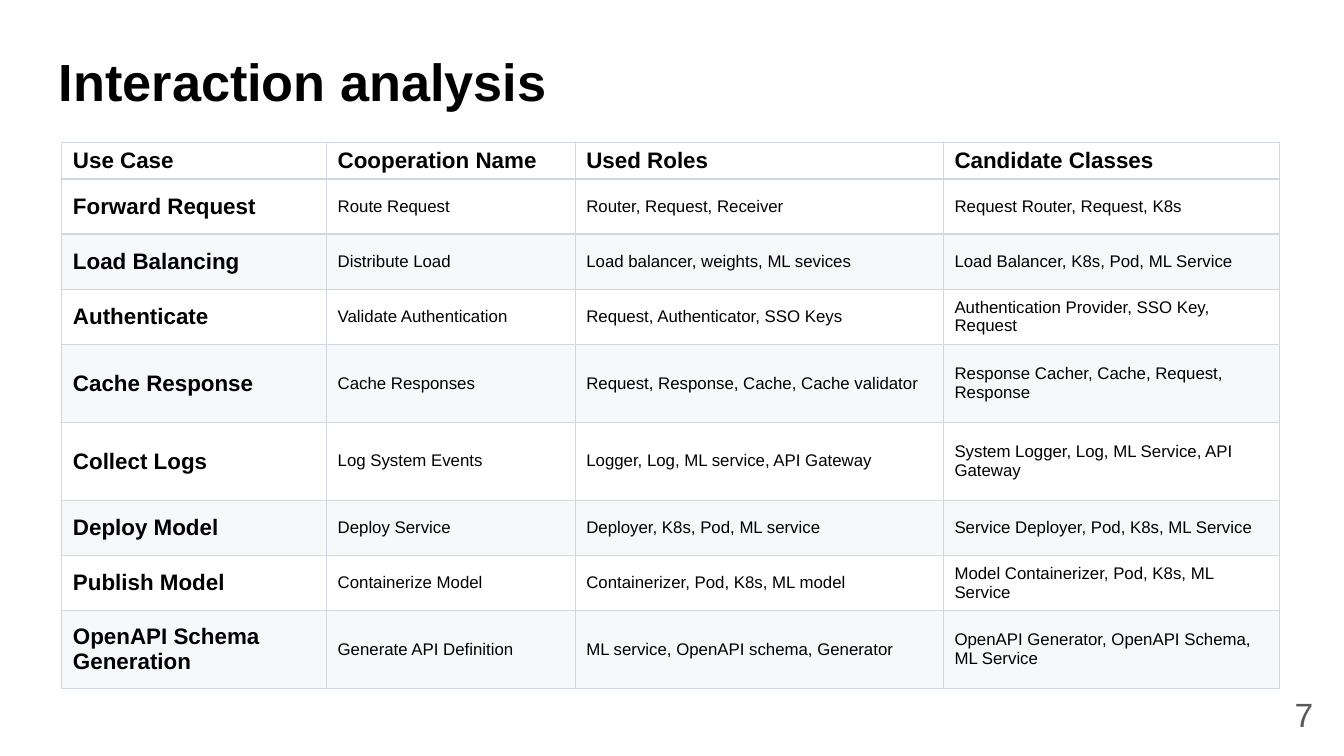
from lxml import etree
from pptx import Presentation
from pptx.dml.color import RGBColor
from pptx.enum.text import MSO_ANCHOR, PP_ALIGN
from pptx.oxml.ns import qn
from pptx.util import Inches, Pt

MIDDLE, TOP = MSO_ANCHOR.MIDDLE, MSO_ANCHOR.TOP
LEFT, RIGHT = PP_ALIGN.LEFT, PP_ALIGN.RIGHT
COLORS = {"text": "000000", "number": "595959", "border": "D0D7DE",
          "plain": "FFFFFF", "band": "F6F8FA"}


def write(tf, text, size=9, bold=False, color="text", align=LEFT):
    tf.word_wrap = True
    p = tf.paragraphs[0]
    p.alignment = align
    r = p.add_run()
    r.text = text
    r.font.name = "Arial"
    r.font.size = Pt(size)
    r.font.bold = bold
    r.font.color.rgb = RGBColor.from_string(COLORS[color])


def add_borders(cell):
    tcPr = cell._tc.get_or_add_tcPr()
    for i, side in enumerate(("a:lnL", "a:lnR", "a:lnT", "a:lnB")):
        ln = etree.Element(qn(side), w=str(Pt(0.75)))
        fill = etree.SubElement(ln, qn("a:solidFill"))
        etree.SubElement(fill, qn("a:srgbClr"), val=COLORS["border"])
        tcPr.insert(i, ln)


# 16:9 slide
prs = Presentation()
prs.slide_width, prs.slide_height = Inches(10), Inches(10 * 9 / 16)
s = prs.slides.add_slide(prs.slide_layouts[6])

# Title and slide number
for text, box, anchor, style in [
    ("Interaction analysis", (0.34, 0.27, 9.32, 0.63), TOP,
     {"size": 28, "bold": True}),
    ("7", (9.27, 5.1, 0.6, 0.43), MIDDLE,
     {"size": 18, "color": "number", "align": RIGHT}),
]:
    tf = s.shapes.add_textbox(*[Inches(v) for v in box]).text_frame
    tf.margin_left = tf.margin_right = Inches(0.1)
    tf.margin_top = tf.margin_bottom = Inches(0.1)
    tf.vertical_anchor = anchor
    write(tf, text, **style)

# Table content
rows = [
    ("Use Case", "Cooperation Name", "Used Roles", "Candidate Classes"),
    ("Forward Request", "Route Request", "Router, Request, Receiver",
     "Request Router, Request, K8s"),
    ("Load Balancing", "Distribute Load", "Load balancer, weights, ML sevices",
     "Load Balancer, K8s, Pod, ML Service"),
    ("Authenticate", "Validate Authentication", "Request, Authenticator, SSO Keys",
     "Authentication Provider, SSO Key, Request"),
    ("Cache Response", "Cache Responses", "Request, Response, Cache, Cache validator",
     "Response Cacher, Cache, Request, Response"),
    ("Collect Logs", "Log System Events", "Logger, Log, ML service, API Gateway",
     "System Logger, Log, ML Service, API Gateway"),
    ("Deploy Model", "Deploy Service", "Deployer, K8s, Pod, ML service",
     "Service Deployer, Pod, K8s, ML Service"),
    ("Publish Model", "Containerize Model", "Containerizer, Pod, K8s, ML model",
     "Model Containerizer, Pod, K8s, ML Service"),
    ("OpenAPI Schema Generation", "Generate API Definition",
     "ML service, OpenAPI schema, Generator",
     "OpenAPI Generator, OpenAPI Schema, ML Service"),
]
widths = [1.97, 1.85, 2.74, 2.5]
heights = [0.25, 0.41, 0.41, 0.41, 0.58, 0.58, 0.41, 0.41, 0.58]

# Table
table = s.shapes.add_table(len(rows), len(widths), Inches(0.46), Inches(1.06),
                           Inches(sum(widths)), Inches(sum(heights))).table
for column, width in zip(table.columns, widths):
    column.width = Inches(width)
for i, (row, height) in enumerate(zip(rows, heights)):
    table.rows[i].height = Inches(height)
    fill = "band" if i and i % 2 == 0 else "plain"
    for j, text in enumerate(row):
        cell = table.cell(i, j)
        cell.fill.solid()
        cell.fill.fore_color.rgb = RGBColor.from_string(COLORS[fill])
        cell.margin_left = cell.margin_right = Pt(6)
        cell.margin_top = cell.margin_bottom = Pt(2.6)
        cell.vertical_anchor = MIDDLE
        heading = i == 0 or j == 0
        write(cell.text_frame, text, size=12 if heading else 9, bold=heading)
        add_borders(cell)

prs.save("out.pptx")
